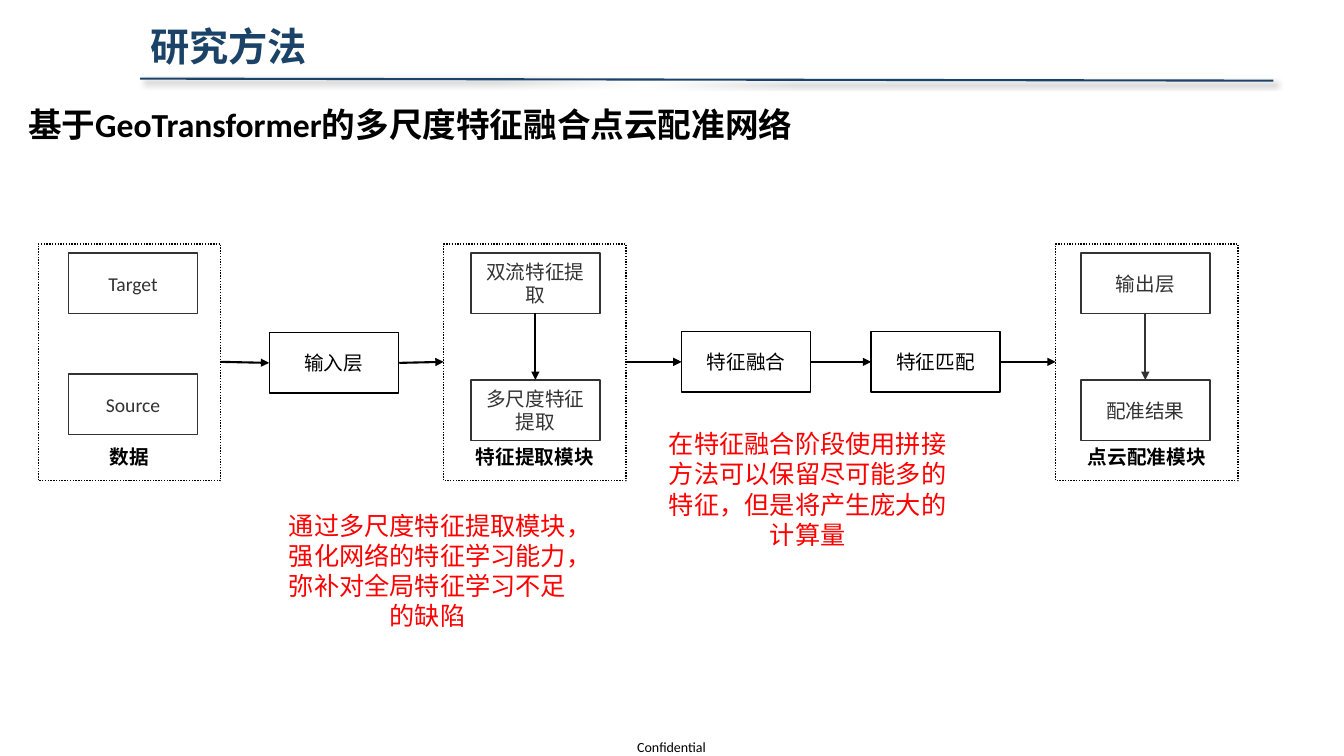
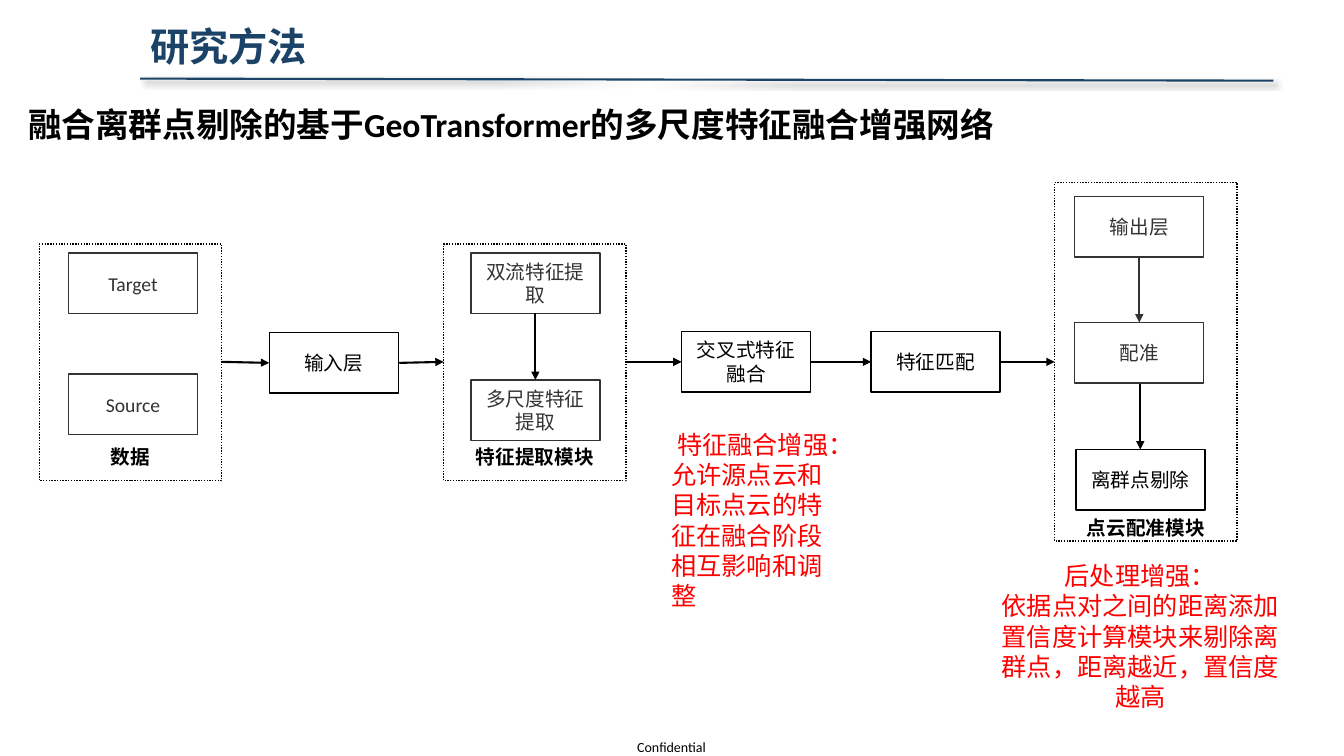
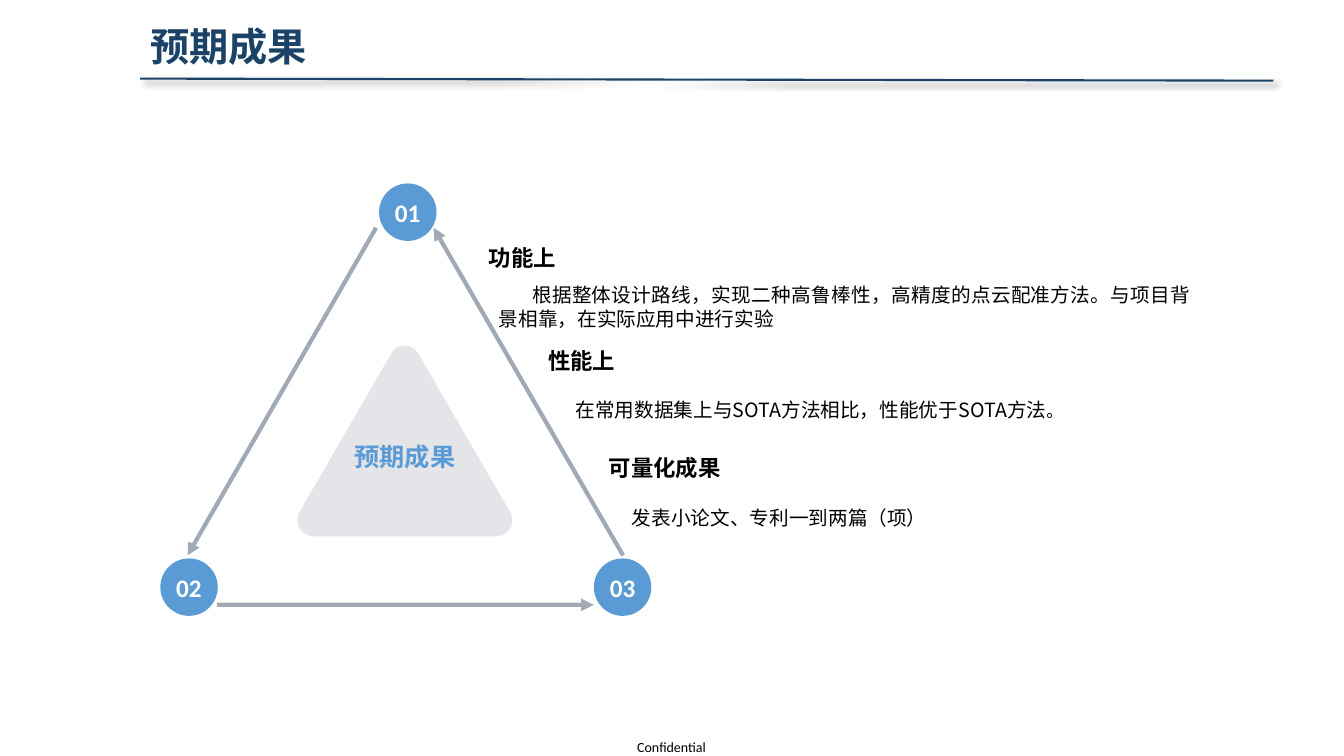
from typing import NamedTuple

from lxml import etree
from pptx import Presentation
from pptx.dml.color import RGBColor
from pptx.enum.dml import MSO_LINE
from pptx.enum.shapes import MSO_CONNECTOR, MSO_SHAPE
from pptx.enum.text import MSO_ANCHOR, MSO_AUTO_SIZE, PP_ALIGN
from pptx.oxml.ns import qn
from pptx.util import Inches, Pt

LEFT, MID, FULL = PP_ALIGN.LEFT, PP_ALIGN.CENTER, PP_ALIGN.JUSTIFY
TOP, CENTER, BOTTOM = MSO_ANCHOR.TOP, MSO_ANCHOR.MIDDLE, MSO_ANCHOR.BOTTOM
RECT, OVAL = MSO_SHAPE.RECTANGLE, MSO_SHAPE.OVAL
STRAIGHT = MSO_CONNECTOR.STRAIGHT
DOTS = MSO_LINE.ROUND_DOT
FIXED = MSO_AUTO_SIZE.NONE

BLACK, WHITE, RED = "000000", "FFFFFF", "FF0000"
NAVY, BLUE, SLATE = "1B4367", "5B9BD5", "44546A"
SANS, HAN = "Calibri", "Noto Sans CJK SC"
BOX_W, BOX_H = 1.28, 0.6
ROW = 3.59


class Area(NamedTuple):
    x: float
    y: float
    w: float
    h: float


class Type(NamedTuple):
    size: float
    color: str = BLACK
    bold: bool = False
    font: str = SANS


class Box(NamedTuple):
    x: float
    y: float
    text: str


class Group(NamedTuple):
    area: Area
    text: str
    gap: float = 0.12


class Arrow(NamedTuple):
    x1: float
    y1: float
    x2: float
    y2: float


class Note(NamedTuple):
    area: Area
    lines: list
    align: list


class Flow(NamedTuple):
    head: str
    fuse: str
    data_x: float
    last: Group
    under: list
    over: list
    faded: list
    clear: list
    notes: list


class Goal(NamedTuple):
    head: Area
    title: str
    body: Area
    text: str


def color(code: str) -> RGBColor:
    return RGBColor.from_string(code)


def inches(area) -> list:
    return [Inches(v) for v in area]


def fade(part, share: int) -> None:
    tint = part.find(qn("a:solidFill"))[0]
    etree.SubElement(tint, qn("a:alpha"), val=str(share * 1000))


def style(run, kind: Type) -> None:
    run.font.size = Pt(kind.size)
    run.font.bold = kind.bold
    run.font.color.rgb = color(kind.color)
    run.font.name = kind.font
    etree.SubElement(run.font._element, qn("a:ea"), typeface=HAN)


def write(shape, text: str, kind: Type, align=LEFT, anchor=TOP, wrap=True):
    frame = shape.text_frame
    frame.text = text
    frame.word_wrap = wrap
    frame.auto_size = FIXED
    frame.vertical_anchor = anchor
    for par in frame.paragraphs:
        par.alignment = align
        for run in par.runs:
            style(run, kind)
    return frame


def label(slide, area: Area, text: str, kind: Type, align=LEFT):
    return write(slide.shapes.add_textbox(*inches(area)), text, kind, align)


def paint(shape, fill: str) -> None:
    shape.shadow.inherit = False
    shape.fill.solid()
    shape.fill.fore_color.rgb = color(fill)
    shape.line.fill.background()


def panel(slide, area: Area, fill: str, edge: str = "", form=RECT):
    shape = slide.shapes.add_shape(form, *inches(area))
    paint(shape, fill)
    if edge:
        shape.line.color.rgb = color(edge)
        shape.line.width = Pt(1)
    return shape


def link(slide, ends: Arrow, tint: str = BLACK, width: float = 1.5, share: int = 100, tip: bool = True):
    line = slide.shapes.add_connector(STRAIGHT, *inches(ends))
    line.line.color.rgb = color(tint)
    line.line.width = Pt(width)
    props = line.element.spPr
    edge = props.find(qn("a:ln"))
    if share < 100:
        fade(edge, share)
    if tip:
        etree.SubElement(edge, qn("a:tailEnd"), type="triangle")
    return etree.SubElement(props, qn("a:effectLst"))


def start(deck, text: str, width: float = 10.72):
    slide = deck.slides.add_slide(deck.slide_layouts[5])
    title = slide.shapes.title
    title.left, title.top, title.width, title.height = inches(Area(1.39, 0.17, width, 0.57))
    write(title, text, Type(28, NAVY, True), anchor=CENTER)
    glow = link(slide, Arrow(1.39, 0.78, 12.63, 0.8), NAVY, tip=False)
    shade = etree.SubElement(glow, qn("a:outerShdw"), blurRad=str(Pt(4)), dist=str(Pt(3)), dir="2700000")
    tint = etree.SubElement(shade, qn("a:srgbClr"), val=BLACK)
    etree.SubElement(tint, qn("a:alpha"), val="40000")
    foot = label(slide, Area(6.32, 7.33, 0.72, 0.17), "Confidential", Type(10))
    foot.margin_left = foot.margin_right = foot.margin_top = foot.margin_bottom = 0
    foot.word_wrap = False
    return slide


def draw_box(slide, box: Box) -> None:
    shape = panel(slide, Area(box.x, box.y, BOX_W, BOX_H), WHITE, BLACK)
    write(shape, box.text, Type(14), MID, CENTER)


def draw_group(slide, group: Group) -> None:
    shape = panel(slide, group.area, WHITE, BLACK)
    fade(shape.element.spPr, 20)
    shape.line.dash_style = DOTS
    frame = write(shape, group.text, Type(14, bold=True), MID, BOTTOM)
    frame.margin_bottom = Inches(group.gap)


def draw_flow(deck, flow: Flow) -> None:
    slide = start(deck, "研究方法")
    label(slide, Area(0.18, 0.98, 10.13, 0.5), flow.head, Type(24, bold=True))
    boxes = [
        Box(0.68, 2.51, "Target"), Box(0.68, 3.71, "Source"),
        Box(2.67, 3.3, "输入层"),
        Box(4.67, 2.51, "双流特征提取"), Box(4.67, 3.77, "多尺度特征提取"),
        Box(6.76, 3.29, flow.fuse), Box(8.64, 3.29, "特征匹配"),
    ]
    for box in boxes + flow.under:
        draw_box(slide, box)
    for ends in flow.faded:
        link(slide, ends)
    data = Group(Area(flow.data_x, 2.42, 1.81, 2.35), "数据")
    for group in (data, Group(Area(4.4, 2.42, 1.81, 2.35), "特征提取模块"), flow.last):
        draw_group(slide, group)
    for box in flow.over:
        draw_box(slide, box)
    steps = [
        Arrow(flow.data_x + 1.81, ROW, 2.67, 3.6), Arrow(3.96, 3.6, 4.4, ROW),
        Arrow(6.22, ROW, 6.76, ROW), Arrow(8.04, ROW, 8.64, ROW),
        Arrow(9.92, ROW, flow.last.area.x, ROW), Arrow(5.31, 3.11, 5.31, 3.77),
    ]
    for ends in steps + flow.clear:
        link(slide, ends)
    for note in flow.notes:
        frame = label(slide, note.area, "\n".join(note.lines), Type(18, RED))
        for par, align in zip(frame.paragraphs, note.align):
            par.alignment = align


def curve(points: list, steps: int = 12) -> list:
    a, b, c, d = points
    found = []
    for i in range(steps + 1):
        t = i / steps
        s = 1 - t
        found.append(tuple(
            s**3 * p + 3 * s * s * t * q + 3 * s * t * t * r + t**3 * u
            for p, q, r, u in zip(a, b, c, d)
        ))
    return found


def draw_goals(deck) -> None:
    slide = start(deck, "预期成果", 8.09)
    goals = [
        Goal(Area(5.94, 4.46, 6.91, 0.37), "可量化成果",
             Area(6.17, 4.92, 6.16, 0.36), "发表小论文、专利一到两篇（项）"),
        Goal(Area(4.75, 2.37, 8.3, 0.37), "功能上", Area(4.85, 2.76, 7.06, 0.57),
             "根据整体设计路线，实现二种高鲁棒性，高精度的点云配准方法。与项目背景相靠，在实际应用中进行实验"),
        Goal(Area(5.34, 3.39, 7.6, 0.37), "性能上",
             Area(5.61, 3.85, 5.12, 0.36), "在常用数据集上与SOTA方法相比，性能优于SOTA方法"),
    ]
    pars = []
    for goal in goals:
        label(slide, goal.head, goal.title, Type(16, bold=True, font=HAN))
        frame = label(slide, goal.body, goal.text, Type(14, font=HAN))
        pars.append(frame.paragraphs[0])
    paper, use, score = pars
    paper.line_spacing = score.line_spacing = 1.2
    use.alignment = FULL
    use._p.get_or_add_pPr().set("indent", str(Inches(0.33)))
    stop = score.add_run()
    stop.text = "。"
    style(stop, Type(12, font=HAN))

    for ends in (Arrow(3.73, 2.26, 1.86, 5.51), Arrow(2.15, 6, 5.89, 6), Arrow(6.18, 5.51, 4.3, 2.26)):
        link(slide, ends, SLATE, 3, 50)
    for x, y, text in ((5.89, 5.54, "03"), (1.59, 5.54, "02"), (3.76, 1.82, "01")):
        disc = panel(slide, Area(x, y, 0.57, 0.57), BLUE, form=OVAL)
        write(disc, text, Type(18, WHITE, True), MID, CENTER, False)

    bends = [
        [(5.06, 5.08), (5.12, 5.19), (5.05, 5.32), (4.92, 5.32)],
        [(3.11, 5.32), (2.99, 5.32), (2.91, 5.19), (2.97, 5.08)],
        [(3.88, 3.51), (3.94, 3.4), (4.09, 3.4), (4.15, 3.51)],
    ]
    dots = [tuple(inches(dot)) for bend in bends for dot in curve(bend)]
    path = slide.shapes.build_freeform(*dots[0])
    path.add_line_segments(dots[1:], close=True)
    core = path.convert_to_shape()
    paint(core, SLATE)
    fade(core.element.spPr, 15)
    frame = write(core, "预期成果", Type(18, BLUE, True, HAN), MID, CENTER)
    frame.margin_top = Inches(0.35)


def main() -> None:
    deck = Presentation()
    deck.slide_width, deck.slide_height = Inches(13.33), Inches(7.5)
    draw_flow(deck, Flow(
        "基于GeoTransformer的多尺度特征融合点云配准网络", "特征融合", 0.38,
        Group(Area(10.47, 2.42, 1.81, 2.35), "点云配准模块"),
        [Box(10.72, 2.51, "输出层"), Box(10.72, 3.77, "配准结果")], [],
        [Arrow(11.36, 3.11, 11.36, 3.77)], [],
        [
            Note(Area(2.67, 5.01, 3.14, 1.31),
                 ["通过多尺度特征提取模块，强化网络的特征学习能力，弥补对全局特征学习不足的缺陷"], [MID]),
            Note(Area(6.44, 4.2, 3.14, 1.31),
                 ["在特征融合阶段使用拼接方法可以保留尽可能多的特征，但是将产生庞大的计算量"], [MID]),
        ],
    ))
    draw_flow(deck, Flow(
        "融合离群点剔除的基于GeoTransformer的多尺度特征融合增强网络", "交叉式特征融合", 0.39,
        Group(Area(10.46, 1.81, 1.81, 3.56), "点云配准模块", 0.02),
        [Box(10.66, 1.95, "输出层"), Box(10.66, 3.2, "配准")],
        [Box(10.67, 4.46, "离群点剔除")],
        [Arrow(11.3, 2.55, 11.3, 3.2)], [Arrow(11.31, 3.81, 11.31, 4.46)],
        [
            Note(Area(6.56, 4.21, 1.81, 1.92),
                 ["特征融合增强：", "允许源点云和目标点云的特征在融合阶段相互影响和调整"], [MID, LEFT]),
            Note(Area(9.82, 5.51, 2.98, 1.62),
                 ["后处理增强：", "依据点对之间的距离添加置信度计算模块来剔除离群点，距离越近，置信度越高"],
                 [MID, MID]),
        ],
    ))
    draw_goals(deck)
    deck.save("out.pptx")


if __name__ == "__main__":
    main()
